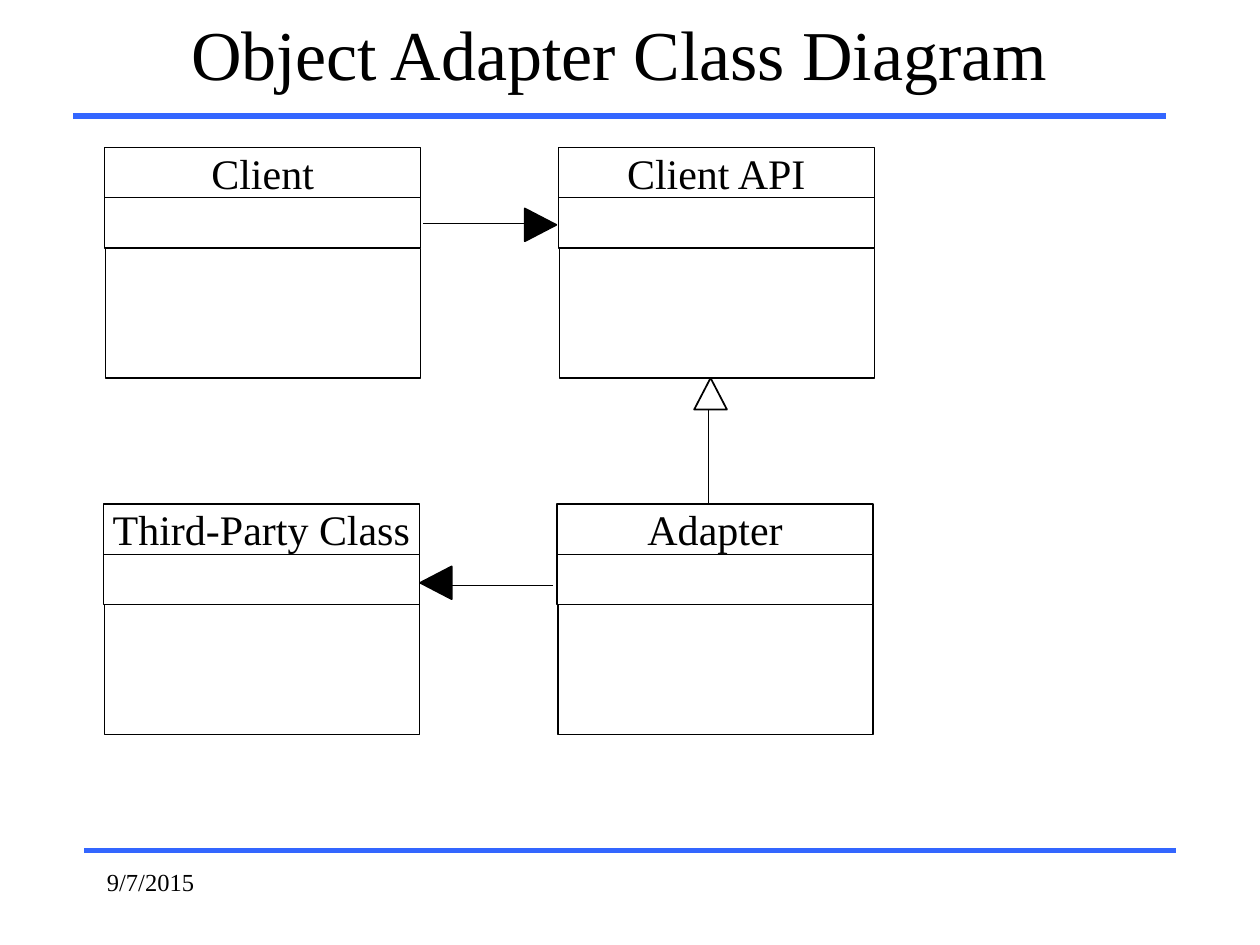
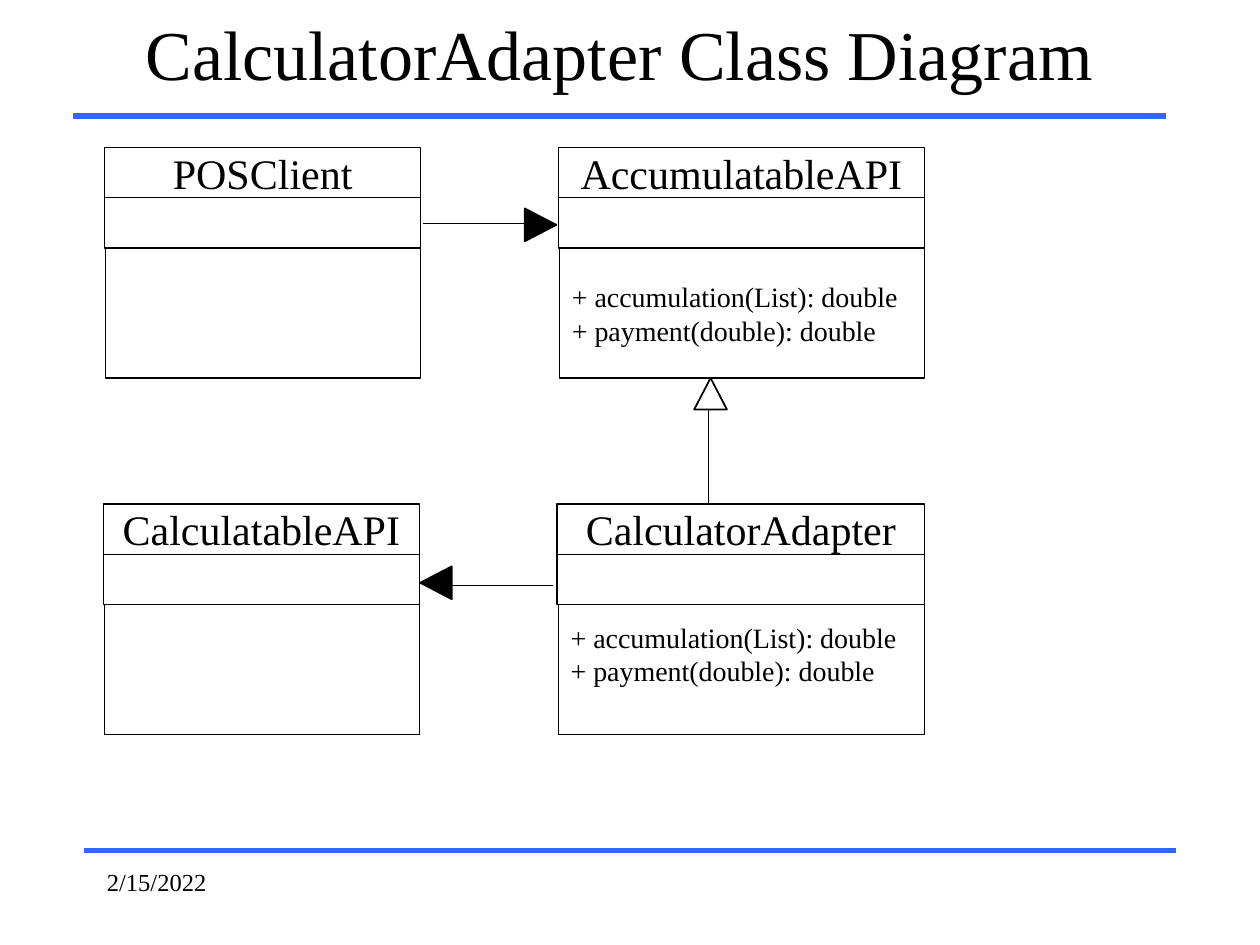
from pptx import Presentation
from pptx.dml.color import RGBColor
from pptx.enum.shapes import MSO_CONNECTOR, MSO_SHAPE
from pptx.enum.text import MSO_ANCHOR, PP_ALIGN
from pptx.oxml.ns import qn
from pptx.util import Inches, Pt
from lxml.etree import SubElement

HUES = {"ink": "000000", "paper": "FFFFFF", "rule": "3366FF"}
FONT = "Times New Roman"
LEFT, TOP = 0.83, 1.17
COL, ROW = 3.6, 2.83
WIDE, BAND, BODY = 2.51, 0.4, 1.03
HEAD = (0.26, 0.25)
CALLS = ["+ accumulation(List): double", "+ payment(double): double"]

ARROWS = [
    ((3.36, 1.77), (4.28, 1.77), (4.16, 1.66), 90, "ink"),
    ((5.62, 4.05), (5.62, 3.14), (5.51, 3), 0, "paper"),
    ((4.39, 4.65), (3.47, 4.65), (3.33, 4.5), 270, "ink"),
]

SLIDES = [
    ("Object Adapter Class Diagram", "9/7/2015", [
        (0, 0, "Client", WIDE, [], 0),
        (1, 0, "Client API", WIDE, [], 0),
        (0, 1, "Third-Party Class", WIDE, [], 0),
        (1, 1, "Adapter", WIDE, [], 0),
    ]),
    ("CalculatorAdapter Class Diagram", "2/15/2022", [
        (0, 0, "POSClient", WIDE, [], 0),
        (1, 0, "AccumulatableAPI", 2.91, CALLS, 0),
        (0, 1, "CalculatableAPI", WIDE, [], 0),
        (1, 1, "CalculatorAdapter", 2.92, CALLS, 0.25),
    ]),
]


def hue(name):
    return RGBColor.from_string(HUES[name])


def write(frame, lines, size, align=PP_ALIGN.LEFT, anchor=MSO_ANCHOR.MIDDLE):
    frame.text = "\n".join(lines)
    frame.vertical_anchor = anchor
    for para in frame.paragraphs:
        para.alignment = align
        para.font.name = FONT
        para.font.size = Pt(size)
        para.font.color.rgb = hue("ink")


def draw(slide, kind, box, fill="paper", width=0.75):
    shape = slide.shapes.add_shape(kind, *map(Inches, box))
    shape.shadow.inherit = False
    shape.fill.solid()
    shape.fill.fore_color.rgb = hue(fill)
    shape.line.color.rgb = hue("ink")
    shape.line.width = Pt(width)
    return shape


def line(slide, start, end, color, width):
    link = slide.shapes.add_connector(
        MSO_CONNECTOR.STRAIGHT, *map(Inches, start + end))
    link.line.color.rgb = hue(color)
    link.line.width = Pt(width)
    SubElement(link._element.spPr, qn("a:effectLst"))


def arrow(slide, start, end, tip, turn, fill):
    line(slide, start, end, "ink", 0.5)
    head = draw(slide, MSO_SHAPE.ISOSCELES_TRIANGLE, tip + HEAD, fill, 1)
    head.rotation = turn


def model(slide, col, row, name, wide, calls, lift):
    left = LEFT + col * COL - row * 0.01
    top = TOP + row * ROW
    label = draw(slide, MSO_SHAPE.RECTANGLE, (left, top, wide, BAND))
    write(label.text_frame, [name], 24, PP_ALIGN.CENTER)
    label.text_frame.word_wrap = False
    draw(slide, MSO_SHAPE.RECTANGLE, (left, top + BAND, wide, BAND))
    body = draw(slide, MSO_SHAPE.RECTANGLE,
                (left + 0.01, top + 2 * BAND, wide - 0.01, BODY))
    if calls:
        body.text_frame.margin_bottom = Inches(0.05 + lift)
        write(body.text_frame, calls, 16)


def frame(deck, title, date):
    slide = deck.slides.add_slide(deck.slide_layouts[5])
    line(slide, (0.67, 6.75), (9.33, 6.75), "rule", 3)
    line(slide, (0.58, 0.92), (9.25, 0.92), "rule", 3)
    head = slide.shapes.title
    head.left, head.top, head.width, head.height = map(
        Inches, (0.58, 0, 8.67, 0.83))
    write(head.text_frame, [title], 40, PP_ALIGN.CENTER)
    note = slide.shapes.add_textbox(*map(Inches, (0.75, 6.83, 2.08, 0.5)))
    note.text_frame.word_wrap = True
    write(note.text_frame, [date], 14, anchor=MSO_ANCHOR.TOP)
    return slide


def main():
    deck = Presentation()
    deck.slide_width, deck.slide_height = Inches(10), Inches(7.5)
    for title, date, models in SLIDES:
        slide = frame(deck, title, date)
        for item in ARROWS:
            arrow(slide, *item)
        for item in models:
            model(slide, *item)
    deck.save("out.pptx")


if __name__ == "__main__":
    main()
